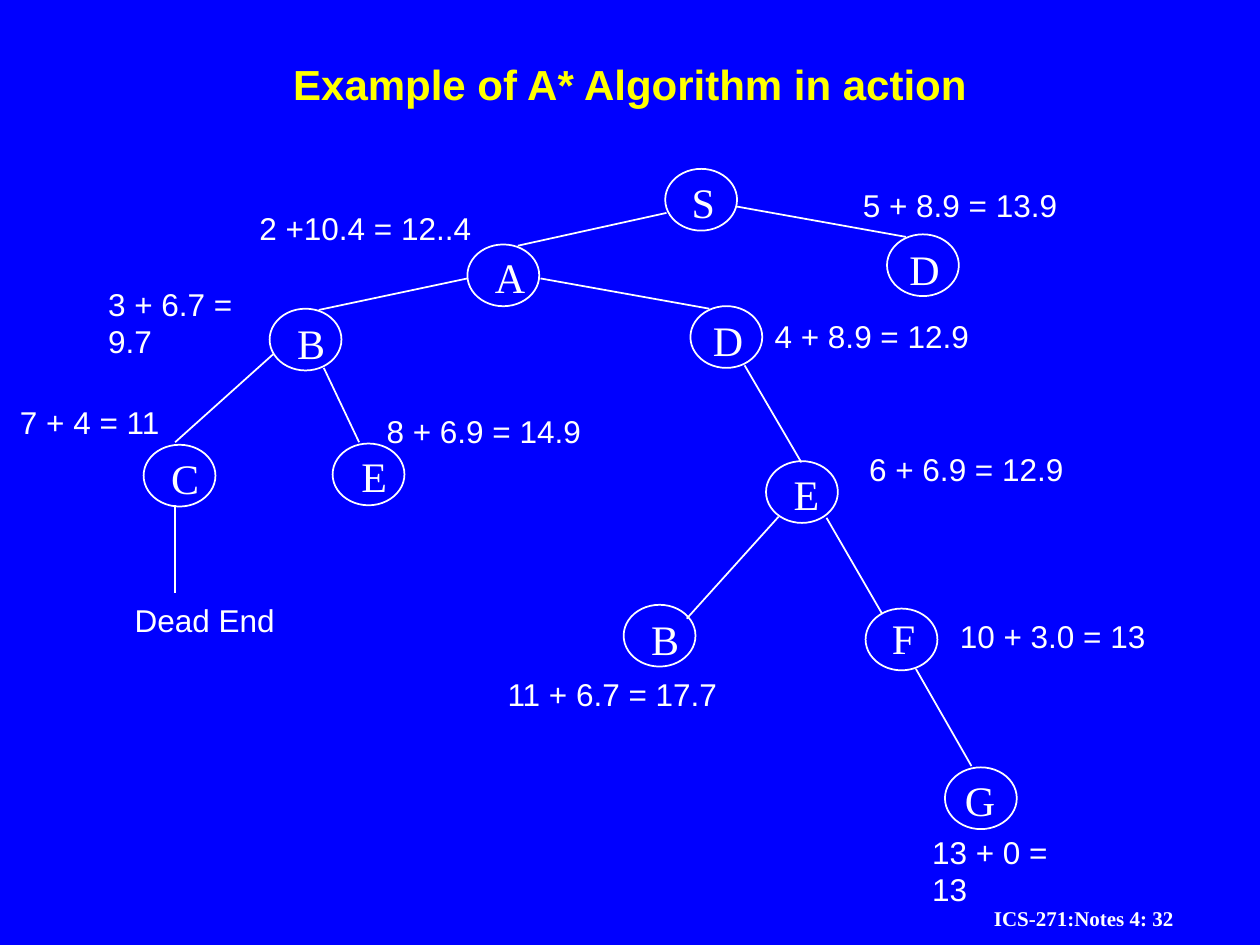
import pptx
import pptx.util
import pptx.dml.color
import pptx.enum.shapes
import pptx.enum.text
import pptx.oxml

COLS, ROWS = 100, 75
WIDE, HIGH = pptx.util.Inches(10), pptx.util.Inches(7.5)
COLORS = {"back": "0000FF", "ink": "FFFFFF", "title": "FFFF00"}
SANS, SERIF = "Arial", "Times New Roman"
OVAL = (5.7, 4.9)
WIDTHS = {"S": 3.8, "A": 4.4, "B": 4.2, "C": 4.2, "D": 4.4, "E": 4, "F": 3.8, "G": 4.4}

# letter, oval column and row, letter column and row
NODES = [
    ("S", 52.8, 13.4, 53.9, 13.5),
    ("A", 37.1, 19.4, 38.3, 19.5),
    ("D", 70.4, 18.6, 71.2, 18.8),
    ("B", 21.4, 24.5, 22.6, 24.7),
    ("D", 54.8, 24.3, 55.6, 24.5),
    ("C", 11.4, 35.3, 12.6, 35.4),
    ("E", 26.4, 35.2, 27.7, 35.3),
    ("E", 60.8, 36.6, 62, 36.7),
    ("B", 49.5, 48, 50.7, 48.2),
    ("F", 68.7, 48.3, 69.8, 48.1),
    ("G", 75, 60.9, 75.6, 61),
]
EDGES = [
    (52.9, 16.9, 41.1, 19.5),
    (58.5, 16.4, 71.9, 18.8),
    (37.1, 22.1, 25.3, 24.6),
    (42.9, 22.1, 56.3, 24.5),
    (21.7, 28.1, 13.9, 35.1),
    (25.7, 29.2, 28.5, 35.1),
    (13.9, 40.1, 13.9, 47.1),
    (59.1, 29, 63.6, 36.7),
    (65.6, 41.1, 70, 48.7),
    (54.5, 49.1, 61.8, 41),
    (72.7, 53.1, 77.1, 60.8),
]
COSTS = [
    ("2 +10.4 = 12..4", 19.6, 16.1, 18.8),
    ("5 + 8.9 = 13.9", 67.5, 14.3, 17.4),
    ("3 + 6.7 = 9.7", 7.6, 22.1, 16),
    ("7 + 4 = 11", 0.6, 31.5, 13.2),
    ("8 + 6.9 = 14.9", 29.7, 32.2, 17.4),
    ("4 + 8.9 = 12.9", 60.5, 24.7, 17.4),
    ("6 + 6.9 = 12.9", 68, 35.2, 17.4),
    ("11 + 6.7 = 17.7", 39.3, 53.1, 18.8),
    ("10 + 3.0 = 13", 75.2, 48.5, 16.7),
    ("13 + 0 = 13", 73, 65.6, 14.6),
    ("Dead End", 9.7, 47.2, 13.1),
]


def col(n):
    return round(WIDE * n / COLS)


def row(n):
    return round(HIGH * n / ROWS)


def tint(name):
    return pptx.dml.color.RGBColor.from_string(COLORS[name])


def stroke(line):
    line.color.rgb = tint("ink")
    line.width = pptx.util.Pt(1)


def text(slide, words, x, y, w, h, face, size, color="ink", bold=False):
    box = slide.shapes.add_textbox(col(x), row(y), col(w), row(h))
    frame = box.text_frame
    frame.text = words
    frame.word_wrap = False
    frame.auto_size = pptx.enum.text.MSO_AUTO_SIZE.SHAPE_TO_FIT_TEXT
    font = frame.paragraphs[0].runs[0].font
    font.name, font.size, font.bold = face, pptx.util.Pt(size), bold
    font.color.rgb = tint(color)
    return frame


def title(slide, words):
    frame = text(slide, words, 7.5, 3.3, 85, 6.7, SANS, 24, "title", True)
    frame.word_wrap = True
    frame.auto_size = pptx.enum.text.MSO_AUTO_SIZE.NONE
    frame.vertical_anchor = pptx.enum.text.MSO_ANCHOR.MIDDLE
    frame.paragraphs[0].alignment = pptx.enum.text.PP_ALIGN.CENTER


def node(slide, letter, x, y, left, top):
    kind = pptx.enum.shapes.MSO_SHAPE.OVAL
    oval = slide.shapes.add_shape(kind, col(x), row(y), col(OVAL[0]), row(OVAL[1]))
    oval.shadow.inherit = False
    oval.fill.background()
    stroke(oval.line)
    text(slide, letter, left, top, WIDTHS[letter], 5, SERIF, 24)


def edge(slide, x1, y1, x2, y2):
    kind = pptx.enum.shapes.MSO_CONNECTOR.STRAIGHT
    line = slide.shapes.add_connector(kind, col(x1), row(y1), col(x2), row(y2))
    stroke(line.line)
    props = line._element.spPr
    props.append(pptx.oxml.parse_xml(
        '<a:effectLst xmlns:a="http://schemas.openxmlformats.org/drawingml/2006/main"/>'))


def main():
    deck = pptx.Presentation()
    deck.slide_width, deck.slide_height = WIDE, HIGH
    slide = deck.slides.add_slide(deck.slide_layouts[6])
    fill = slide.background.fill
    fill.solid()
    fill.fore_color.rgb = tint("back")

    text(slide, "ICS-271:Notes 4: 32", 77.9, 71.4, 22.1, 3, SERIF, 12, bold=True)
    title(slide, "Example of A* Algorithm in action")
    for item in NODES:
        node(slide, *item)
    for ends in EDGES:
        edge(slide, *ends)
    for words, x, y, w in COSTS:
        text(slide, words, x, y, w, 4, SANS, 18)
    deck.save("out.pptx")


if __name__ == "__main__":
    main()
